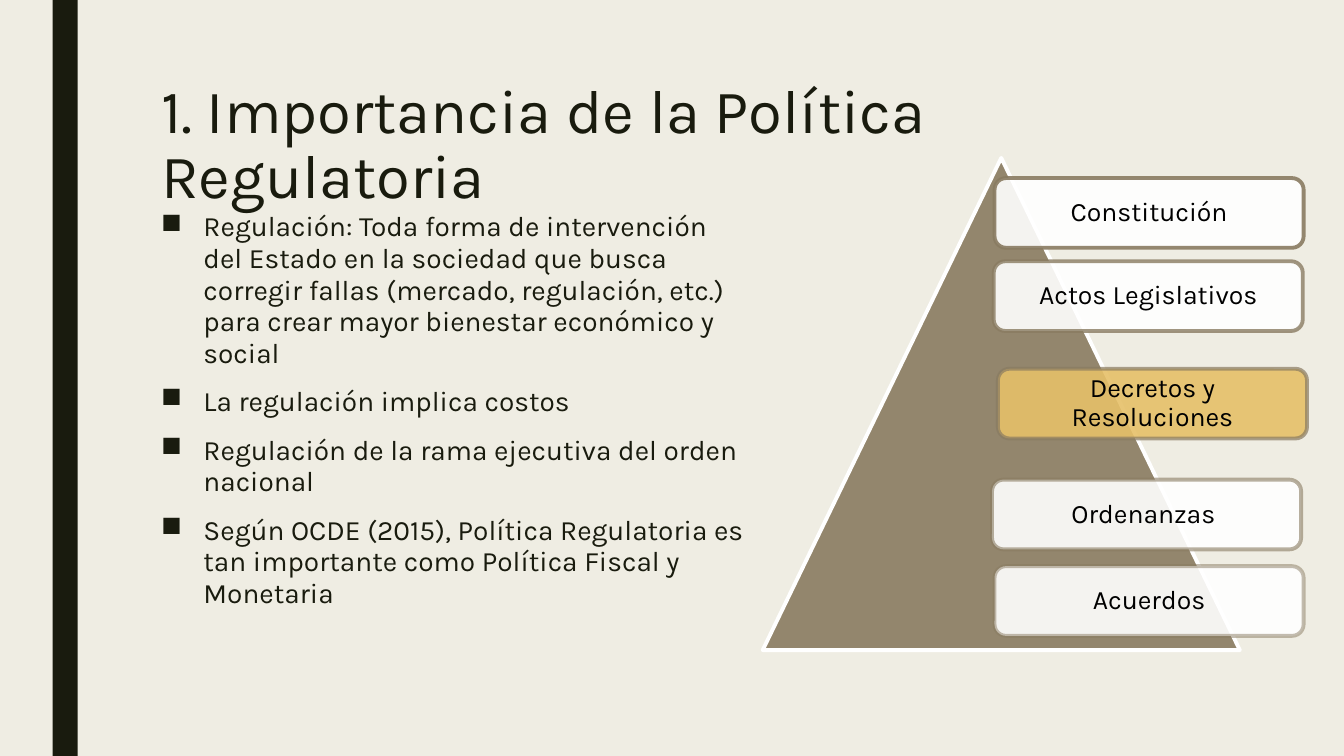
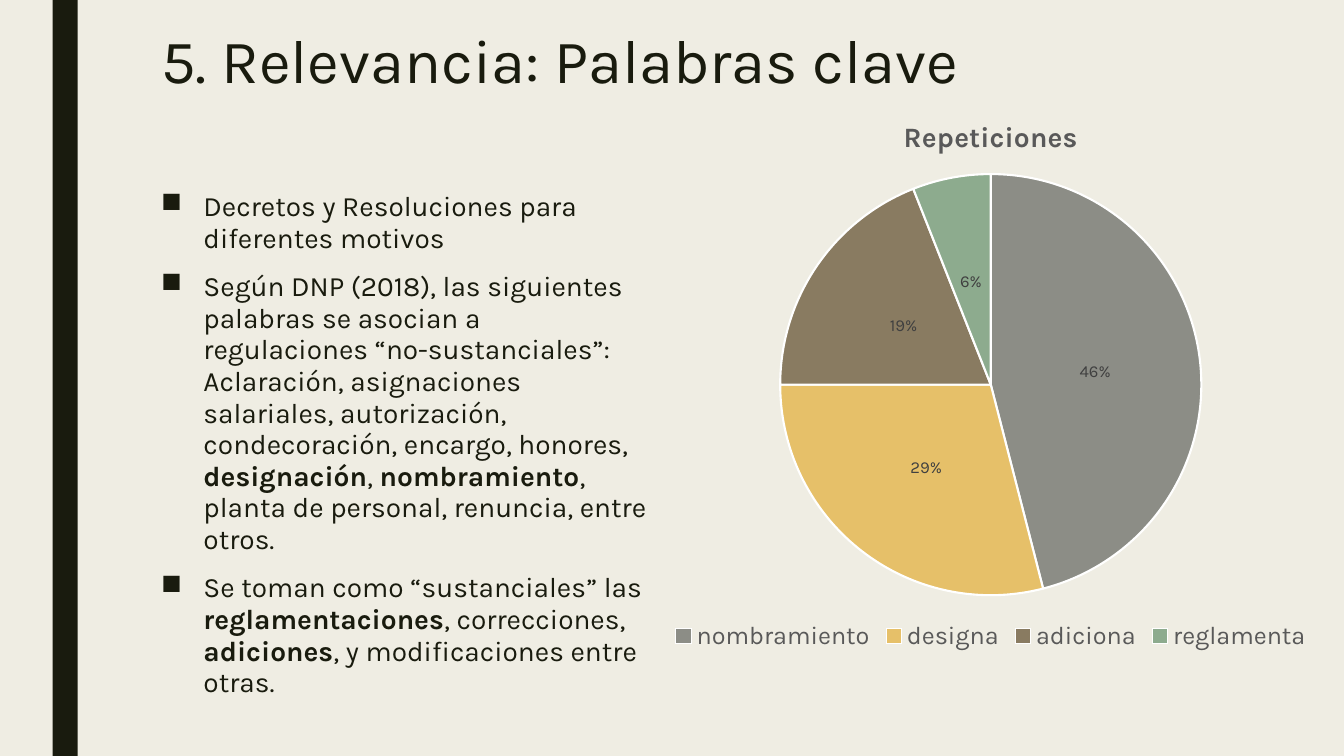
"""Build two slides on regulatory policy: a norm pyramid and a keyword pie."""
from dataclasses import dataclass
from typing import Any, NamedTuple

from lxml.etree import SubElement as Sub
from pptx import Presentation as Deck
from pptx.chart.data import CategoryChartData as Data
from pptx.dml.color import RGBColor as Rgb
from pptx.enum.chart import XL_CHART_TYPE as Kind
from pptx.enum.chart import XL_LABEL_POSITION as Spot
from pptx.enum.chart import XL_LEGEND_POSITION as Side
from pptx.enum.shapes import MSO_SHAPE as Form
from pptx.enum.text import MSO_ANCHOR as Anchor
from pptx.enum.text import PP_ALIGN as Align
from pptx.oxml.ns import qn
from pptx.util import Emu, Inches, Pt

COLS, ROWS = 160, 90
CELL = Inches(1) // 12


@dataclass(frozen=True)
class Theme:
    """Hold the colours and type sizes."""
    font: str = "Karla"
    back: str = "EFEDE3"
    ink: str = "191B0E"
    black: str = "000000"
    white: str = "FFFFFF"
    brown: str = "897B61"
    gold: str = "E6C069"
    gray: str = "8C8D86"
    green: str = "8DAB8E"
    mute: str = "595959"
    dark: str = "404040"
    head: int = 44
    body: int = 20
    key: int = 18
    tag: int = 19
    mark: int = 12
    edge: float = 2.75


class Box(NamedTuple):
    """Place an item in grid columns and rows."""
    x: float
    y: float
    w: float
    h: float

    def emu(self) -> list[Emu]:
        """Turn grid cells into lengths."""
        return [Emu(round(n * CELL)) for n in self]


class Level(NamedTuple):
    """Describe one level of the pyramid."""
    text: str
    x: float
    y: float
    fill: str
    edge: int


class Slice(NamedTuple):
    """Describe one slice of the pie."""
    name: str
    value: int
    fill: str


T = Theme()
BAR = Box(6.25, 0, 3, ROWS)
PEAK = Box(90.8, 18.8, 56.8, 58.6)
PIE = Box(62.2, 11.9, 111.5, 66.2)
TAG_W, TAG_H = 36.8, 8.3

LEVELS = [
    Level("Constitución", 118.4, 21.2, T.white, 90),
    Level("Actos Legislativos", 118.3, 31.1, T.white, 80),
    Level("Decretos y Resoluciones", 118.8, 43.9, T.gold, 70),
    Level("Ordenanzas ", 118.1, 57.1, T.white, 60),
    Level("Acuerdos", 118.4, 67.4, T.white, 50),
]
SLICES = [
    Slice("nombramiento", 46, T.gray),
    Slice("designa", 29, T.gold),
    Slice("adiciona", 19, T.brown),
    Slice("reglamenta", 6, T.green),
]
POLICY = [
    "Regulación: Toda forma de intervención del Estado en la sociedad que busca "
    "corregir fallas (mercado, regulación, etc.) para crear mayor bienestar "
    "económico y social",
    "La regulación implica costos",
    "Regulación de la rama ejecutiva del orden nacional",
    "Según OCDE (2015), Política Regulatoria es tan importante como Política "
    "Fiscal y Monetaria",
]
WORDS = [
    "Decretos y Resoluciones para diferentes motivos",
    "Según DNP (2018), las siguientes palabras se asocian a regulaciones "
    "“no-sustanciales”: Aclaración, asignaciones salariales, autorización, "
    "condecoración, encargo, honores, *designación*, *nombramiento*, planta de "
    "personal, renuncia, entre otros.",
    "Se toman como “sustanciales” las *reglamentaciones*, correcciones, "
    "*adiciones*, y modificaciones entre otras.",
]


def style(font: Any, size: float, tint: str, bold: bool = False) -> None:
    """Set face, size, colour and weight."""
    font.name, font.size, font.bold = T.font, Pt(size), bold
    font.color.rgb = Rgb.from_string(tint)


def write(para: Any, text: str, size: float, tint: str) -> None:
    """Add runs, with bold ones between asterisks."""
    for i, part in enumerate(text.split("*")):
        run = para.add_run()
        run.text = part
        style(run.font, size, tint, i % 2 == 1)


def paint(fill: Any, tint: str) -> None:
    """Fill with one colour."""
    fill.solid()
    fill.fore_color.rgb = Rgb.from_string(tint)


def fade(node: Any, part: int) -> None:
    """Set the opacity of a solid fill in percent."""
    tint = node.find(qn("a:solidFill"))[0]
    Sub(tint, qn("a:alpha"), val=str(part * 1000))


def shape(page: Any, form: Form, box: Box, fill: str, line: str = "",
          solid: int = 100, edge: int = 100) -> Any:
    """Draw a flat shape."""
    item = page.shapes.add_shape(form, *box.emu())
    item.shadow.inherit = False
    paint(item.fill, fill)
    fade(item._element.spPr, solid)
    if line:
        paint(item.line.fill, line)
        item.line.width = Pt(T.edge)
        fade(item._element.spPr.find(qn("a:ln")), edge)
    else:
        item.line.fill.background()
    return item


def frame(page: Any, box: Box) -> Any:
    """Add a wrapping text frame."""
    text = page.shapes.add_textbox(*box.emu()).text_frame
    text.word_wrap = True
    return text


def title(page: Any, text: str, box: Box) -> None:
    """Write the slide title."""
    para = frame(page, box).paragraphs[0]
    para.line_spacing = 0.89
    write(para, text, T.head, T.ink)


def points(page: Any, items: list[str], box: Box) -> None:
    """Write a bulleted list."""
    text = frame(page, box)
    for i, item in enumerate(items):
        para = text.add_paragraph() if i else text.paragraphs[0]
        para.line_spacing = 0.94
        para.space_before, para.space_after = Pt(10), Pt(2)
        props = para._p.get_or_add_pPr()
        dent = Inches(0.42)
        props.set("marL", str(dent))
        props.set("indent", str(-dent))
        Sub(props, qn("a:buChar"), char="■")
        write(para, item, T.body, T.ink)


def level(page: Any, item: Level) -> None:
    """Draw one level of the pyramid."""
    box = Box(item.x, item.y, TAG_W, TAG_H)
    tag = shape(page, Form.ROUNDED_RECTANGLE, box, item.fill, T.brown, 90, item.edge)
    text = tag.text_frame
    text.word_wrap = True
    text.vertical_anchor = Anchor.MIDDLE
    text.margin_left = text.margin_right = Inches(0.08)
    text.margin_top = text.margin_bottom = Inches(0.08)
    para = text.paragraphs[0]
    para.alignment, para.line_spacing = Align.CENTER, 0.9
    write(para, item.text, T.tag, T.black)


def pie(page: Any, name: str, items: list[Slice], box: Box) -> None:
    """Draw a pie with a title, legend and percent labels."""
    data = Data()
    data.categories = [s.name for s in items]
    data.add_series(name, [s.value for s in items])
    chart = page.shapes.add_chart(Kind.PIE, *box.emu(), data).chart
    style(chart.font, 10, T.black)
    chart.has_title = True
    write(chart.chart_title.text_frame.paragraphs[0], f"*{name}*", T.body, T.mute)
    chart.chart_title.include_in_layout = False
    chart.has_legend = True
    chart.legend.position = Side.BOTTOM
    chart.legend.include_in_layout = False
    style(chart.legend.font, T.key, T.mute)
    plot = chart.plots[0]
    plot.vary_by_categories = True
    plot.has_data_labels = True
    marks = plot.data_labels
    marks.show_percentage, marks.show_value = True, False
    marks.number_format, marks.number_format_is_linked = "0%", False
    marks.position = Spot.CENTER
    style(marks.font, T.mark, T.dark)
    for i, item in enumerate(items):
        look = plot.series[0].points[i].format
        paint(look.fill, item.fill)
        paint(look.line.fill, T.white)
        look.line.width = Pt(1.5)


def start(deck: Any, head: str, box: Box) -> Any:
    """Add a slide with its side bar and title."""
    page = deck.slides.add_slide(deck.slide_layouts[6])
    shape(page, Form.RECTANGLE, BAR, T.ink)
    title(page, head, box)
    return page


def main() -> None:
    """Build and save the deck."""
    deck = Deck()
    deck.slide_width, deck.slide_height = Emu(COLS * CELL), Emu(ROWS * CELL)
    paint(deck.slide_master.background.fill, T.back)

    page = start(deck, "1. Importancia de la Política Regulatoria", Box(18, 9, 126, 12.2))
    points(page, POLICY, Box(18, 24.6, 72.8, 47))
    shape(page, Form.ISOSCELES_TRIANGLE, PEAK, T.brown, T.white, 90)
    for item in LEVELS:
        level(page, item)

    page = start(deck, "5. Relevancia: Palabras clave", Box(18, 3.1, 126, 10.3))
    points(page, WORDS, Box(18, 22.2, 60.6, 59.6))
    pie(page, "Repeticiones", SLICES, PIE)
    deck.save("out.pptx")


if __name__ == "__main__":
    main()
